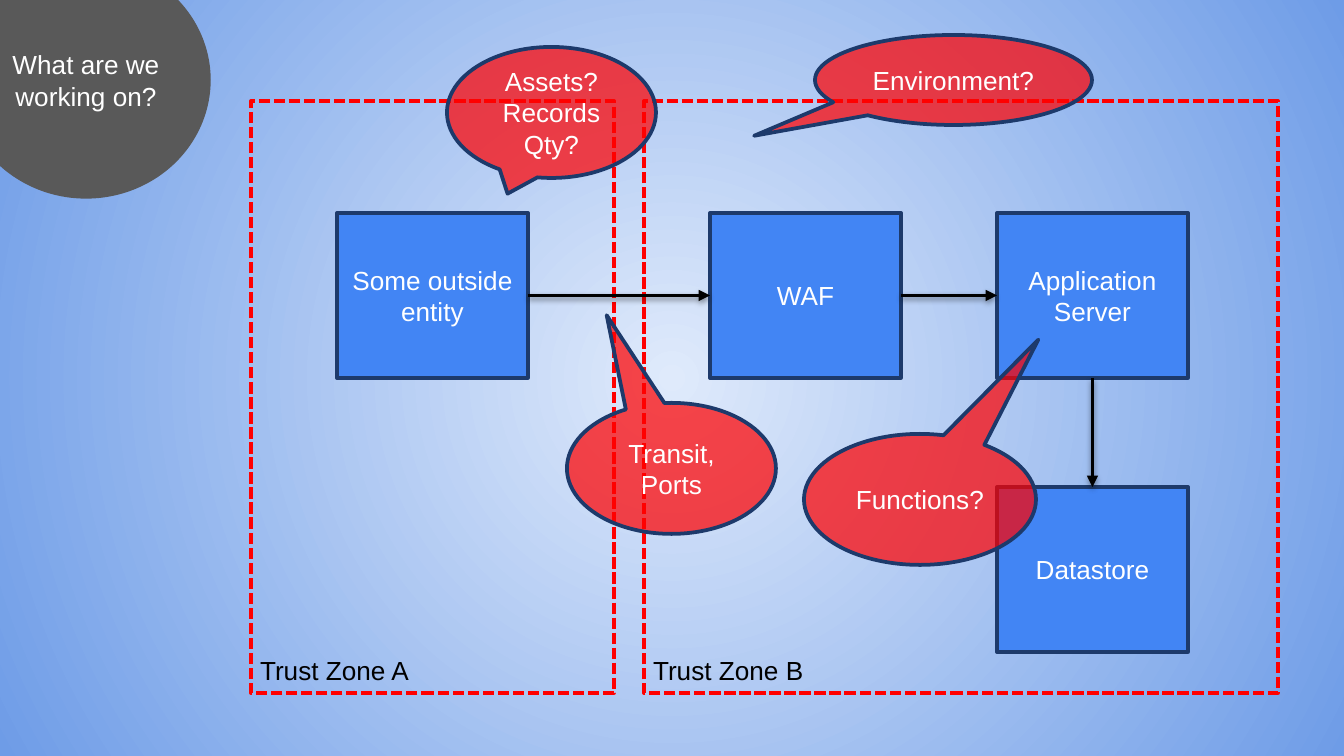
import dataclasses

import lxml.etree
import pptx
import pptx.dml.color
import pptx.enum.dml
import pptx.enum.shapes
import pptx.enum.text
import pptx.oxml.ns
import pptx.util

SCALE = 9144000 / 1344
KIND = pptx.enum.shapes.MSO_SHAPE
ALIGN = pptx.enum.text.PP_ALIGN
qn = pptx.oxml.ns.qn


@dataclasses.dataclass(frozen=True)
class Theme:
    """Hold the colours, font and sizes of the slide."""
    glow: str = "DFEAFB"
    sky: str = "6E9CE7"
    disc: str = "595959"
    zone: str = "FF0000"
    box: str = "4285F4"
    edge: str = "1D3A6B"
    ink: str = "000000"
    light: str = "FFFFFF"
    font: str = "Arial"
    size: int = 14
    line: int = 2
    thin: float = 0.75
    alpha: int = 71


THEME = Theme()


def px(count):
    """Turn px into EMU."""
    return pptx.util.Emu(round(count * SCALE))


def rgb(code):
    """Turn a hex code into a colour."""
    return pptx.dml.color.RGBColor.from_string(code)


def add_xml(parent, tag, **attrs):
    """Append a drawing element with its attributes."""
    node = lxml.etree.SubElement(parent, qn(tag))
    for name, value in attrs.items():
        node.set(name, str(value))
    return node


def paint_back(slide):
    """Fill the background with a round gradient."""
    fill = slide.background.fill
    fill.gradient()
    for stop, code in zip(fill.gradient_stops, (THEME.glow, THEME.sky)):
        stop.color.rgb = rgb(code)
    grad = next(slide.element.iter(qn("a:gradFill")))
    grad.remove(grad.find(qn("a:lin")))
    ring = add_xml(grad, "a:path", path="circle")
    add_xml(ring, "a:fillToRect", l=50000, t=50000, r=50000, b=50000)


def write(shape, text, color, align=ALIGN.CENTER):
    """Write one run of text into a shape."""
    frame = shape.text_frame
    frame.margin_left = frame.margin_right = px(13)
    frame.word_wrap = True
    para = frame.paragraphs[0]
    para.alignment = align
    run = para.add_run()
    run.text = text
    run.font.name = THEME.font
    run.font.size = pptx.util.Pt(THEME.size)
    run.font.color.rgb = rgb(color)


def add_form(slide, kind, area, fill, edge, width=THEME.line, text=""):
    """Add a preset shape with fill, outline and centred text."""
    shape = slide.shapes.add_shape(kind, *map(px, area))
    shape.shadow.inherit = False
    if fill:
        shape.fill.solid()
        shape.fill.fore_color.rgb = rgb(fill)
    else:
        shape.fill.background()
    shape.line.color.rgb = rgb(edge)
    shape.line.width = pptx.util.Pt(width)
    if text:
        write(shape, text, THEME.light)
        shape.text_frame.vertical_anchor = pptx.enum.text.MSO_ANCHOR.MIDDLE
    return shape


def add_zone(slide, left, width):
    """Add a dashed trust zone."""
    zone = add_form(slide, KIND.RECTANGLE, (left, 101, width, 592), None, THEME.zone)
    zone.line.dash_style = pptx.enum.dml.MSO_LINE.SQUARE_DOT


def add_label(slide, left, text):
    """Add the name at the foot of a trust zone."""
    label = slide.shapes.add_textbox(px(left - 4), px(648), px(179), px(46))
    write(label, text, THEME.ink, ALIGN.LEFT)
    label.text_frame.word_wrap = False


def add_box(slide, left, top, text):
    """Add a system box."""
    area = (left, top, 191, 165)
    return add_form(slide, KIND.RECTANGLE, area, THEME.box, THEME.edge, text=text)


def add_arrow(slide, start, out, end, into):
    """Join two boxes with a shadowed arrow."""
    kind = pptx.enum.shapes.MSO_CONNECTOR.STRAIGHT
    arrow = slide.shapes.add_connector(kind, 0, 0, 0, 0)
    arrow.begin_connect(start, out)
    arrow.end_connect(end, into)
    arrow.line.color.rgb = rgb(THEME.ink)
    arrow.line.width = pptx.util.Pt(THEME.line)
    props = arrow._element.spPr
    add_xml(props.find(qn("a:ln")), "a:tailEnd", type="triangle")
    shade = add_xml(
        add_xml(props, "a:effectLst"), "a:outerShdw",
        blurRad=pptx.util.Pt(3.1), dist=pptx.util.Pt(1.6),
        dir=5400000, rotWithShape=0,
    )
    color = add_xml(shade, "a:srgbClr", val=THEME.ink)
    add_xml(color, "a:alpha", val=38000)


def add_callout(slide, area, tip, text):
    """Add a see-through speech bubble with its tip."""
    shape = add_form(
        slide, KIND.OVAL_CALLOUT, area, THEME.zone, THEME.edge, text=text
    )
    for index, value in enumerate(tip):
        shape.adjustments[index] = value
    color = shape._element.spPr.find(qn("a:solidFill"))[0]
    add_xml(color, "a:alpha", val=THEME.alpha * 1000)


def main():
    """Build and save the slide."""
    deck = pptx.Presentation()
    deck.slide_width, deck.slide_height = px(1344), px(756)
    slide = deck.slides.add_slide(deck.slide_layouts[6])
    paint_back(slide)
    add_form(
        slide, KIND.OVAL, (-38, -38, 248, 236), THEME.disc, THEME.disc,
        THEME.thin, "What are we working on?",
    )
    zones = ((251, 363, "Trust Zone A"), (644, 634, "Trust Zone B"))
    for left, width, _ in zones:
        add_zone(slide, left, width)

    entity = add_box(slide, 337, 213, "Some outside entity")
    wall = add_box(slide, 710, 213, "WAF")
    server = add_box(slide, 997, 213, "Application Server")
    store = add_box(slide, 997, 487, "Datastore")
    add_arrow(slide, entity, 3, wall, 1)
    add_arrow(slide, wall, 3, server, 1)
    add_arrow(slide, server, 2, store, 0)

    for left, _, name in zones:
        add_label(slide, left, name)
    for area, tip, text in (
        ((447, 47, 209, 131), (-0.21, 0.62), "Assets? Records Qty?"),
        ((567, 403, 209, 131), (-0.31, -1.17), "Transit, Ports"),
        ((815, 35, 277, 90), (-0.72, 0.62), "Environment?"),
        ((804, 434, 232, 131), (0.51, -1.22), "Functions?"),
    ):
        add_callout(slide, area, tip, text)
    deck.save("out.pptx")


if __name__ == "__main__":
    main()
